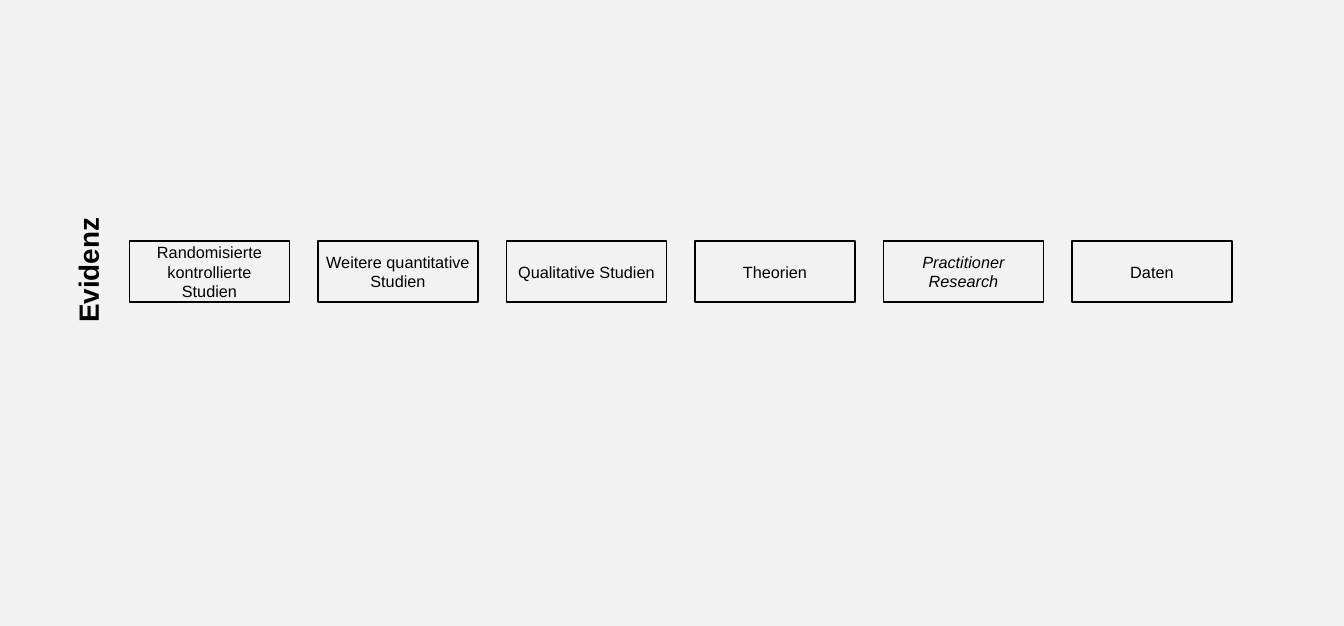
import dataclasses

import pptx
import pptx.dml.color
import pptx.enum.shapes
import pptx.enum.text
import pptx.util

WIDTH, HEIGHT = 16.09, 7.5
COLOURS = {"background": "F2F2F2", "ink": "000000"}
EVIDENCE_TYPES = [
    "Randomisierte kontrollierte Studien",
    "Weitere quantitative Studien",
    "Qualitative Studien",
    "Theorien",
    "Practitioner Research",
    "Daten",
]
ITALIC_TYPES = {"Practitioner Research"}


@dataclasses.dataclass
class Box:
    """A rectangle in inches."""

    left: float
    top: float
    width: float
    height: float

    def lengths(self):
        """Return the four lengths for a shape call."""
        return [pptx.util.Inches(n) for n in (self.left, self.top, self.width, self.height)]

    def columns(self, count, gap):
        """Split the box into equal columns with a fixed gap."""
        width = (self.width - gap * (count - 1)) / count
        return [
            Box(self.left + i * (width + gap), self.top, width, self.height)
            for i in range(count)
        ]


def colour(name):
    """Look up a named colour."""
    return pptx.dml.color.RGBColor.from_string(COLOURS[name])


def write(shape, text, size=14, bold=False, italic=False, align="CENTER", anchor="MIDDLE"):
    """Put formatted text into a shape."""
    frame = shape.text_frame
    frame.word_wrap = True
    frame.vertical_anchor = pptx.enum.text.MSO_ANCHOR[anchor]
    para = frame.paragraphs[0]
    para.alignment = pptx.enum.text.PP_ALIGN[align]
    span = para.add_run()
    span.text = text
    span.font.name = "Arial"
    span.font.size = pptx.util.Pt(size)
    span.font.bold = bold
    span.font.italic = italic
    span.font.color.rgb = colour("ink")


def add_row_title(page, box, text):
    """Add a heading that reads upwards, centred on the box."""
    length, thickness = 2 * box.height, 0.5
    middle_x, middle_y = box.left + box.width / 2, box.top + box.height / 2
    area = Box(middle_x - length / 2, middle_y - thickness / 2, length, thickness)
    title = page.shapes.add_textbox(*area.lengths())
    title.rotation = 270
    write(title, text, size=24, bold=True, align="LEFT", anchor="TOP")


def add_evidence_row(page, box, labels):
    """Add one outlined box per label, evenly spread over the row."""
    for label, cell in zip(labels, box.columns(len(labels), gap=0.34)):
        shape = page.shapes.add_shape(
            pptx.enum.shapes.MSO_SHAPE.RECTANGLE, *cell.lengths()
        )
        shape.shadow.inherit = False
        shape.fill.background()
        shape.line.color.rgb = colour("ink")
        shape.line.width = pptx.util.Pt(1.5)
        write(shape, label, italic=label in ITALIC_TYPES)


def main():
    """Build the slide and save it."""
    deck = pptx.Presentation()
    deck.slide_width = pptx.util.Inches(WIDTH)
    deck.slide_height = pptx.util.Inches(HEIGHT)
    page = deck.slides.add_slide(deck.slide_layouts[6])
    page.background.fill.solid()
    page.background.fill.fore_color.rgb = colour("background")
    row = Box(1.55, 2.89, 13.2, 0.73)
    add_evidence_row(page, row, EVIDENCE_TYPES)
    add_row_title(page, Box(0.8, row.top - 0.02, 0.5, row.height), "Evidenz")
    deck.save("out.pptx")


if __name__ == "__main__":
    main()
